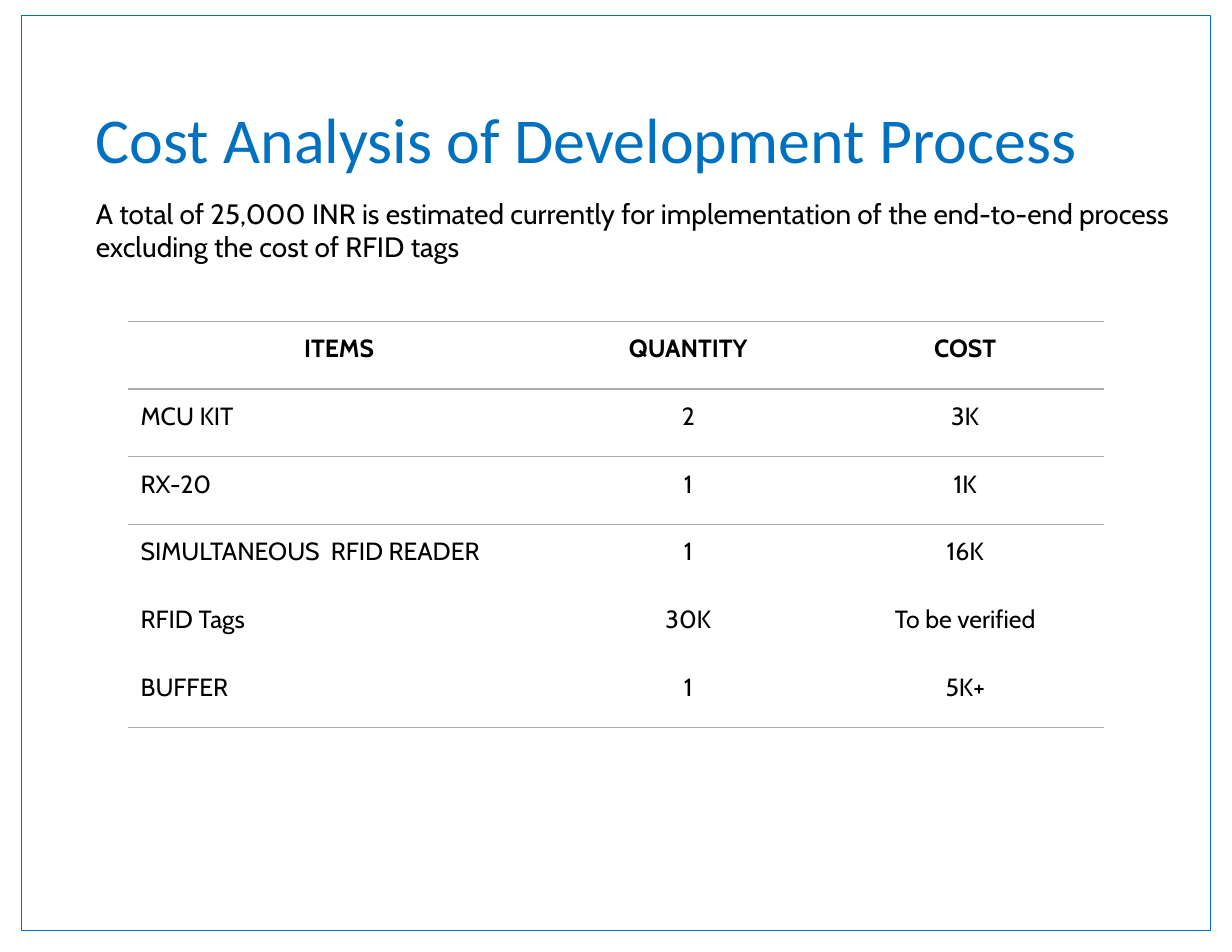
from dataclasses import dataclass

from lxml import etree
from pptx import Presentation
from pptx.dml.color import RGBColor
from pptx.enum.shapes import MSO_SHAPE
from pptx.enum.text import MSO_ANCHOR, PP_ALIGN
from pptx.oxml.ns import qn
from pptx.util import Pt

RECTANGLE = MSO_SHAPE.RECTANGLE
TOP, MIDDLE = MSO_ANCHOR.TOP, MSO_ANCHOR.MIDDLE
LEFT, CENTER = PP_ALIGN.LEFT, PP_ALIGN.CENTER
NO_GRID_STYLE = "{2D5ABB26-0587-4C30-8999-92F81FD0307C}"


@dataclass(frozen=True)
class Theme:
    accent: str = "0070C0"
    ink: str = "000000"
    rule: str = "AFABAB"
    title_font: str = "Calibri"
    body_font: str = "Cabin"
    title_size: float = 41.1
    body_size: float = 18
    table_size: float = 16


THEME = Theme()
COLUMN_WIDTHS = (271, 178, 178)
ROW_HEIGHT = 43.55
CELL_INSET = 7.2
COSTS = (
    ("ITEMS", "QUANTITY", "COST"),
    ("MCU KIT", "2", "3K"),
    ("RX-20", "1", "1K"),
    ("SIMULTANEOUS  RFID READER", "1", "16K"),
    ("RFID Tags", "30K", "To be verified"),
    ("BUFFER", "1", "5K+"),
)
RULED_EDGES = (0, 1, 2, len(COSTS))


def style_paragraph(paragraph, font_name, size, color, bold=False, align=LEFT):
    paragraph.alignment = align
    for run in paragraph.runs:
        run.font.name = font_name
        run.font.size = Pt(size)
        run.font.bold = bold
        run.font.color.rgb = RGBColor.from_string(color)


def add_frame(slide):
    frame = slide.shapes.add_shape(RECTANGLE, Pt(13.7), Pt(10.1), Pt(764.6), Pt(588.2))
    frame.shadow.inherit = False
    frame.fill.background()
    frame.line.color.rgb = RGBColor.from_string(THEME.accent)
    frame.line.width = Pt(0.25)


def add_text(slide, text, box, font_name, size, color, anchor=TOP, spacing=1.0):
    label = slide.shapes.add_textbox(*(Pt(length) for length in box))
    content = label.text_frame
    content.word_wrap = True
    content.vertical_anchor = anchor
    content.text = text
    paragraph = content.paragraphs[0]
    paragraph.line_spacing = spacing
    style_paragraph(paragraph, font_name, size, color)


def rule_cell(cell, edges):
    properties = cell._tc.get_or_add_tcPr()
    for position, edge in enumerate(edges):
        border = etree.Element(qn(f"a:{edge}"), w=str(Pt(1)))
        fill = etree.SubElement(border, qn("a:solidFill"))
        etree.SubElement(fill, qn("a:srgbClr"), val=THEME.rule)
        properties.insert(position, border)


def fill_cell(cell, text, row, column):
    cell.fill.background()
    cell.margin_left = cell.margin_right = Pt(CELL_INSET + 0.8)
    cell.margin_top = cell.margin_bottom = Pt(CELL_INSET + 0.8)
    cell.text = text
    is_header = row == 0
    align = CENTER if is_header or column else LEFT
    style_paragraph(cell.text_frame.paragraphs[0], THEME.body_font,
                    THEME.table_size, THEME.ink, is_header, align)
    sides = (("lnT", row), ("lnB", row + 1))
    rule_cell(cell, [side for side, edge in sides if edge in RULED_EDGES])


def add_cost_table(slide):
    table = slide.shapes.add_table(
        len(COSTS), len(COLUMN_WIDTHS), Pt(82.5), Pt(206.5),
        Pt(sum(COLUMN_WIDTHS)), Pt(ROW_HEIGHT * len(COSTS))).table
    table.first_row = False
    table.horz_banding = False
    table._tbl.tblPr.find(qn("a:tableStyleId")).text = NO_GRID_STYLE
    for column, width in zip(table.columns, COLUMN_WIDTHS):
        column.width = Pt(width)
    for row, entries in enumerate(COSTS):
        table.rows[row].height = Pt(ROW_HEIGHT)
        for column, text in enumerate(entries):
            fill_cell(table.cell(row, column), text, row, column)


def main():
    deck = Presentation()
    deck.slide_width, deck.slide_height = Pt(792), Pt(612)
    slide = deck.slides.add_slide(deck.slide_layouts[6])
    add_text(slide, "Cost Analysis of Development Process", (54.5, 32.5, 683.5, 118),
             THEME.title_font, THEME.title_size, THEME.accent, MIDDLE, 0.9)
    add_frame(slide)
    add_text(slide, "A total of 25,000 INR is estimated currently for implementation of "
             "the end-to-end process excluding the cost of RFID tags",
             (54.5, 122.5, 705, 65.5), THEME.body_font, THEME.body_size, THEME.ink)
    add_cost_table(slide)
    deck.save("out.pptx")


if __name__ == "__main__":
    main()
